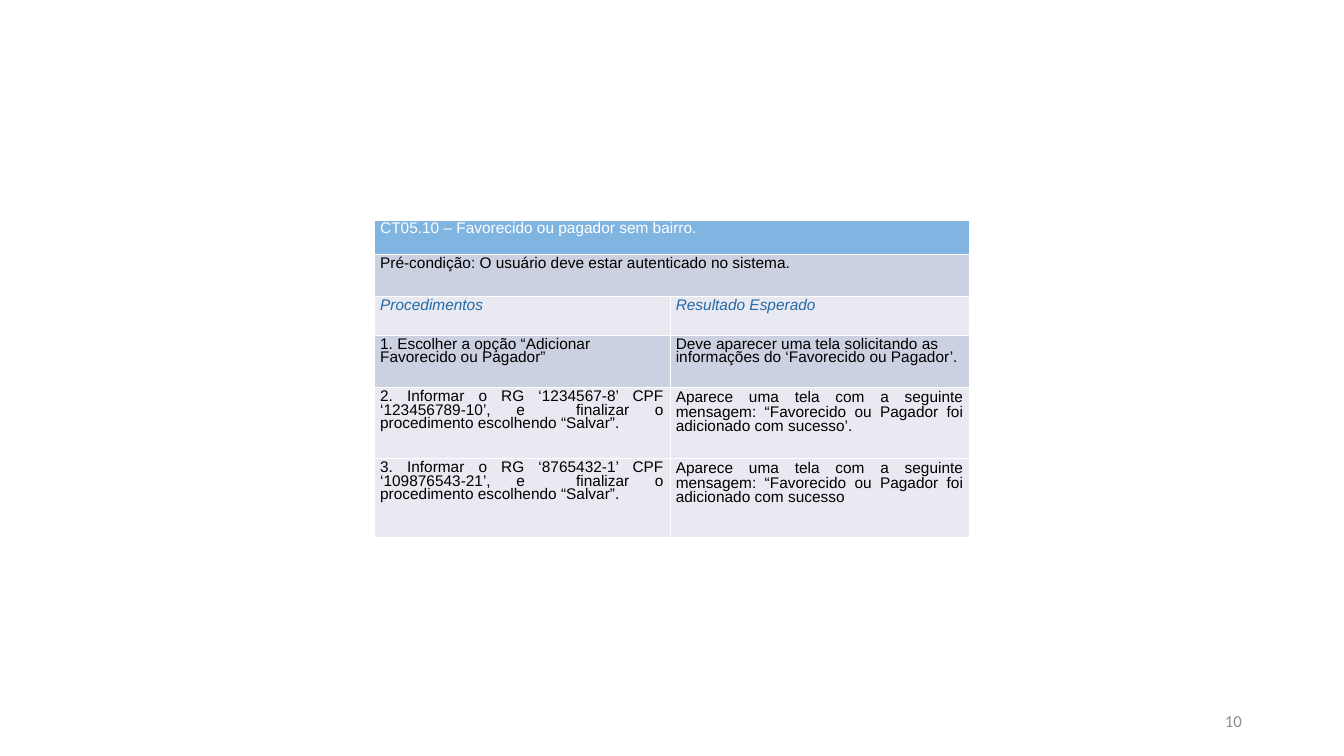
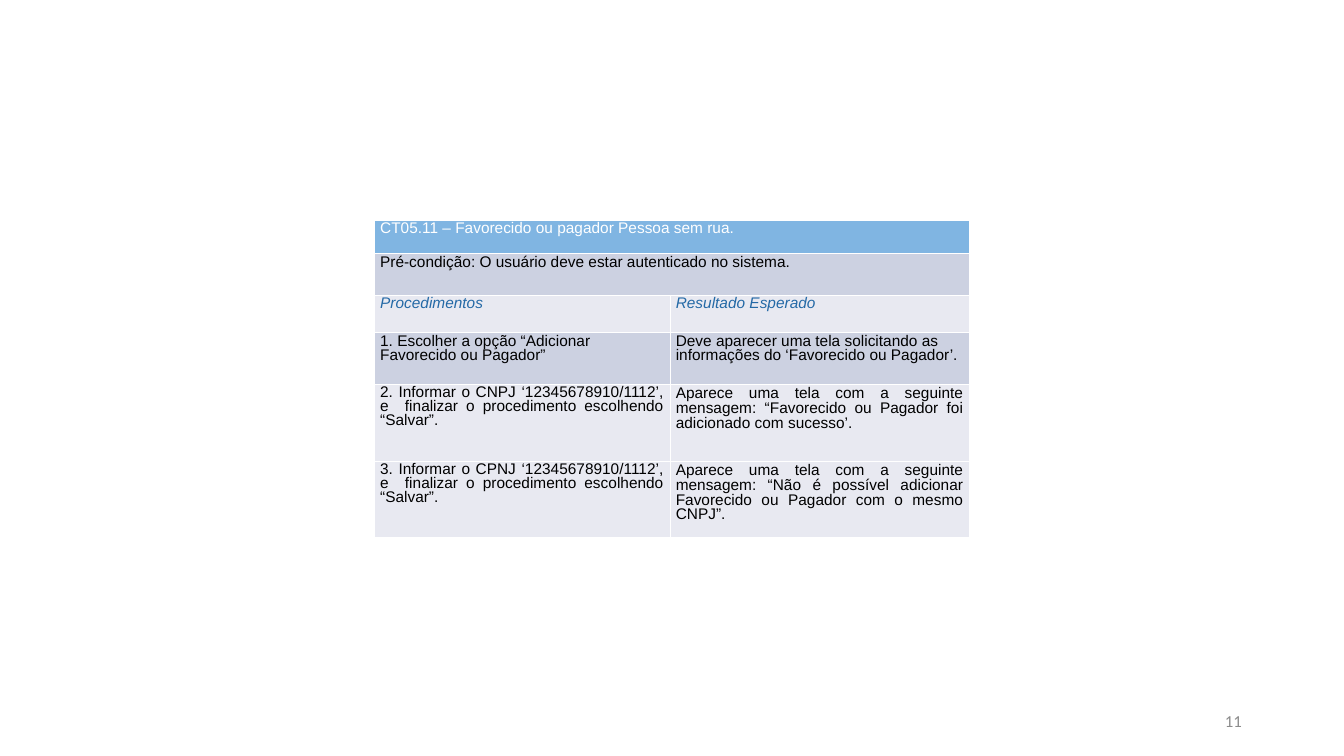
from lxml import etree
from pptx import Presentation
from pptx.dml.color import RGBColor
from pptx.enum.text import MSO_ANCHOR, PP_ALIGN
from pptx.oxml.ns import qn
from pptx.util import Cm, Pt

LEFT, RIGHT, JUSTIFY = PP_ALIGN.LEFT, PP_ALIGN.RIGHT, PP_ALIGN.JUSTIFY
MIDDLE = MSO_ANCHOR.MIDDLE

WHITE, BLACK, GRAY = "FFFFFF", "000000", "8C8C8C"
SKY, STEEL, MIST, BLUE = "80B5E2", "CCD1E1", "E8E9F1", "2469A6"

PRECONDITION = "Pré-condição: O usuário deve estar autenticado no sistema."
HEADINGS = ("Procedimentos", "Resultado Esperado")
OPEN_FORM = (
    "1. Escolher a opção “Adicionar Favorecido ou Pagador”",
    "Deve aparecer uma tela solicitando as informações do ‘Favorecido ou Pagador’.",
)
SAVE = "e  finalizar o procedimento escolhendo “Salvar”."
MESSAGE = "Aparece uma tela com a seguinte mensagem: "
ADDED = MESSAGE + "“Favorecido ou Pagador foi adicionado com sucesso"

TEST_CASES = [
    {
        "page": "10",
        "title": "CT05.10 – Favorecido ou pagador sem bairro.",
        "steps": [
            (f"2. Informar o RG ‘1234567-8’ CPF ‘123456789-10’, {SAVE}", ADDED + "’."),
            (f"3. Informar o RG ‘8765432-1’ CPF ‘109876543-21’, {SAVE}", ADDED),
        ],
        "heights": (0.86, 1.07, 0.97, 1.32, 1.79, 1.99),
    },
    {
        "page": "11",
        "title": "CT05.11 – Favorecido ou pagador Pessoa sem rua.",
        "steps": [
            (f"2. Informar o CNPJ ‘12345678910/1112’, {SAVE}", ADDED + "’."),
            (
                f"3. Informar o CPNJ ‘12345678910/1112’, {SAVE}",
                MESSAGE + "“Não é possível adicionar Favorecido ou Pagador com o mesmo CNPJ”.",
            ),
        ],
        "heights": (0.84, 1.05, 0.94, 1.3, 1.94, 1.93),
    },
]

ROW_STYLES = [
    (SKY, WHITE, False, LEFT),
    (STEEL, BLACK, False, LEFT),
    (MIST, BLUE, True, LEFT),
    (STEEL, BLACK, False, LEFT),
    (MIST, BLACK, False, JUSTIFY),
    (MIST, BLACK, False, JUSTIFY),
]
COLUMN_WIDTHS = (7.45, 7.55)
TABLE_LEFT, TABLE_TOP = 9.43, 5.54
BORDER_WIDTH = Pt(0.06)


def color(value):
    return RGBColor.from_string(value)


def write(frame, text, size, font_name, ink, align, italic=False, spacing=None):
    frame.text = text
    paragraph = frame.paragraphs[0]
    paragraph.alignment = align
    paragraph.line_spacing = spacing
    for run in paragraph.runs:
        run.font.size = Pt(size)
        run.font.name = font_name
        run.font.italic = italic
        run.font.bold = False
        run.font.color.rgb = color(ink)


def add_borders(cell):
    properties = cell._tc.get_or_add_tcPr()
    for position, side in enumerate(("lnL", "lnR", "lnT", "lnB")):
        line = etree.Element(qn(f"a:{side}"), w=str(BORDER_WIDTH))
        fill = etree.SubElement(line, qn("a:solidFill"))
        etree.SubElement(fill, qn("a:srgbClr"), val=WHITE)
        properties.insert(position, line)


def style_cell(cell, fill):
    cell.margin_left = cell.margin_right = Cm(0.15)
    cell.margin_top = cell.margin_bottom = Cm(0.08)
    cell.fill.solid()
    cell.fill.fore_color.rgb = color(fill)
    add_borders(cell)


def add_page_number(slide, page):
    number = slide.shapes.add_textbox(Cm(23.93), Cm(17.65), Cm(7.62), Cm(1.02))
    number.text_frame.word_wrap = True
    number.text_frame.vertical_anchor = MIDDLE
    write(number.text_frame, page, 12, "Calibri", GRAY, RIGHT)


def add_test_table(slide, case):
    rows = [(case["title"],), (PRECONDITION,), HEADINGS, OPEN_FORM, *case["steps"]]
    heights = case["heights"]
    table = slide.shapes.add_table(
        len(rows), len(COLUMN_WIDTHS), Cm(TABLE_LEFT), Cm(TABLE_TOP),
        Cm(sum(COLUMN_WIDTHS)), Cm(sum(heights)),
    ).table
    for column, width in zip(table.columns, COLUMN_WIDTHS):
        column.width = Cm(width)
    for r, (texts, height, style) in enumerate(zip(rows, heights, ROW_STYLES)):
        fill, ink, italic, align = style
        table.rows[r].height = Cm(height)
        for c in range(len(COLUMN_WIDTHS)):
            style_cell(table.cell(r, c), fill)
        if len(texts) == 1:
            table.cell(r, 0).merge(table.cell(r, 1))
        for c, text in enumerate(texts):
            spacing = 0.86 if align == JUSTIFY and c == 1 else 0.8
            write(table.cell(r, c).text_frame, text, 11, "Arial", ink, align, italic, spacing)


presentation = Presentation()
presentation.slide_width, presentation.slide_height = Cm(33.87), Cm(19.05)
blank_layout = presentation.slide_layouts[6]
for case in TEST_CASES:
    slide = presentation.slides.add_slide(blank_layout)
    add_page_number(slide, case["page"])
    add_test_table(slide, case)
presentation.save("out.pptx")
